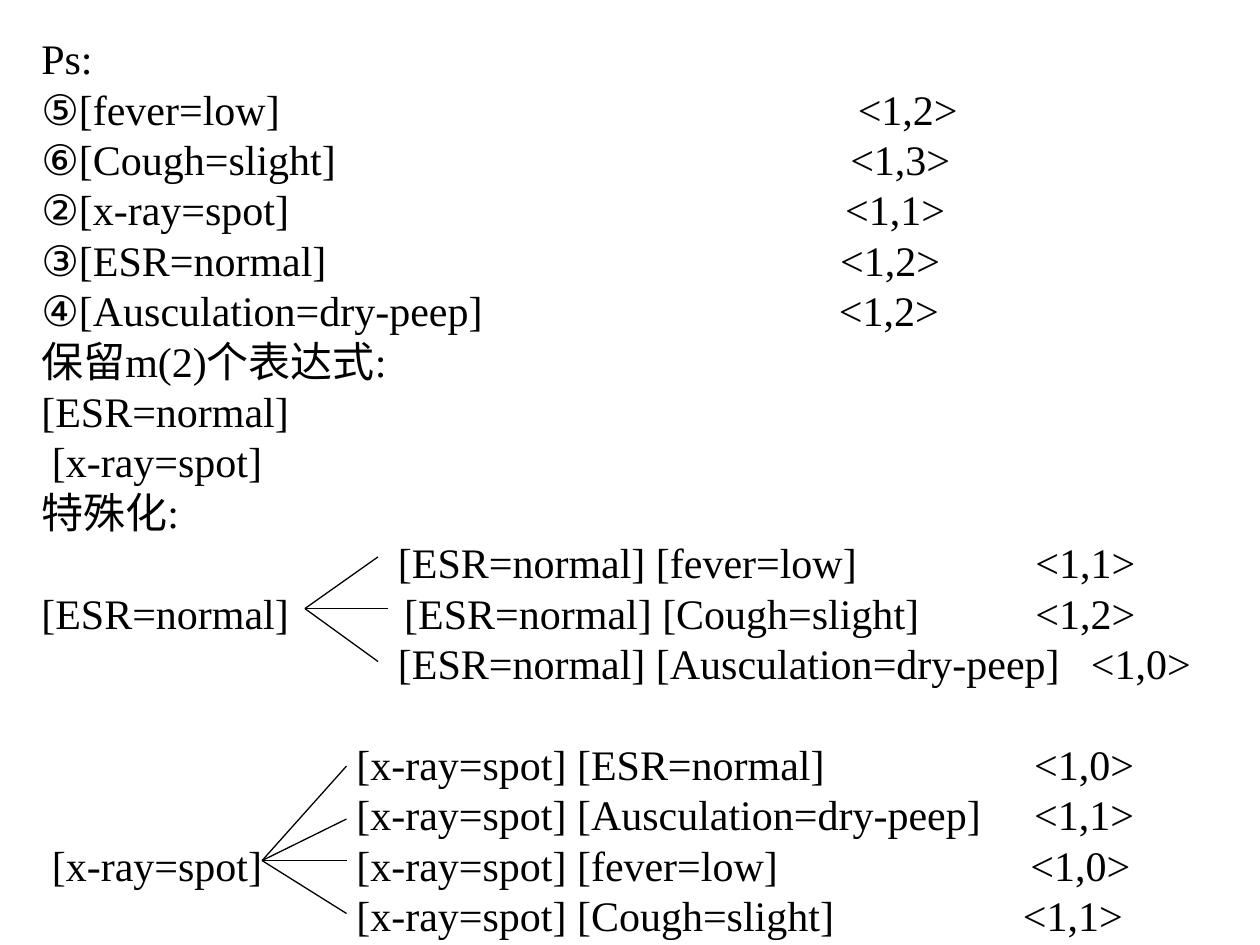
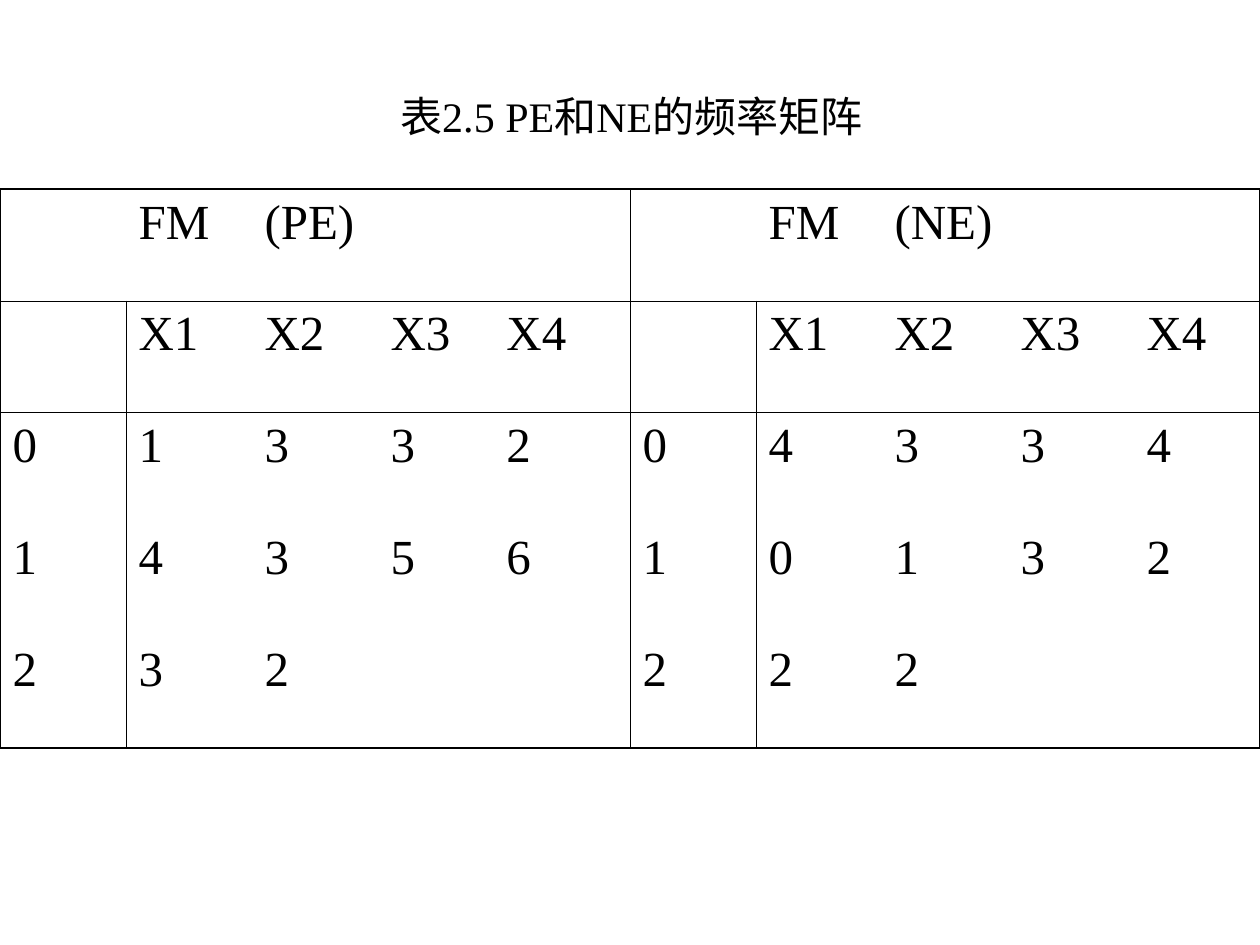
from lxml.etree import SubElement
from pptx import Presentation
from pptx.dml.color import RGBColor
from pptx.enum.shapes import MSO_CONNECTOR
from pptx.enum.text import MSO_ANCHOR, MSO_AUTO_SIZE, PP_ALIGN
from pptx.oxml.ns import qn
from pptx.util import Inches, Pt

BLACK = RGBColor(0, 0, 0)
SERIF = "Times New Roman"
SYMBOL_FONT = "Arial"
TITLE_ONLY, BLANK = 5, 6
BODY_SIZE, TABLE_SIZE = 24, 28
LINE_PITCH = Pt(28.8)
THICK, THIN = Pt(1.08), Pt(0.45)

# Each row: marker, text with tabs, tab stops in inches from the text edge
EXPRESSION_ROWS = [
    ("", "Ps:", ()),
    ("⑤", "[fever=low]\t<1,2>", (6.48,)),
    ("⑥", "[Cough=slight]\t<1,3>", (6.42,)),
    ("②", "[x-ray=spot]\t<1,1>", (6.38,)),
    ("③", "[ESR=normal]\t<1,2>", (6.34,)),
    ("④", "[Ausculation=dry-peep]\t<1,2>", (6.33,)),
    ("", "保留m(2)个表达式:", ()),
    ("", "[ESR=normal]", ()),
    ("", " [x-ray=spot]", ()),
    ("", "特殊化:", ()),
    ("", "\t[ESR=normal] [fever=low]\t<1,1>", (2.83, 7.89)),
    ("", "[ESR=normal]\t[ESR=normal] [Cough=slight]\t<1,2>", (2.88, 7.89)),
    ("", "\t[ESR=normal] [Ausculation=dry-peep]\t<1,0>", (2.83, 8.33)),
    ("", "\t[x-ray=spot] [ESR=normal]\t<1,0>", (2.5, 7.88)),
    ("", "\t[x-ray=spot] [Ausculation=dry-peep]\t<1,1>", (2.5, 7.88)),
    ("", " [x-ray=spot]\t[x-ray=spot] [fever=low]\t<1,0>", (2.5, 7.85)),
    ("", "\t[x-ray=spot] [Cough=slight]\t<1,1>", (2.5, 7.79)),
]
SECOND_TREE_ROW = 13

# Fan origin and branch ends, in inches from the corner of the text box
FANS = [
    ((2.19, 4.64), [(2.77, 4.23), (2.85, 4.64), (2.77, 5.06)]),
    ((1.85, 6.64), [(2.52, 5.89), (2.52, 6.31), (2.52, 6.64), (2.52, 7.06)]),
]

MATRIX_ROWS = [
    ["", "FM", "(PE)", "", "", "", "FM", "(NE)", "", ""],
    ["", "X1", "X2", "X3", "X4"] * 2,
    ["0", "1", "3", "3", "2", "0", "4", "3", "3", "4"],
    ["1", "4", "3", "5", "6", "1", "0", "1", "3", "2"],
    ["2", "3", "2", "", "", "2", "2", "2", "", ""],
]
MATRIX_COLUMNS = [1, 1, 1, 0.92, 1.08, 1, 1, 1, 1, 1]


def style_paragraph(para, size):
    para.font.name = SERIF
    para.font.size = Pt(size)
    para.font.color.rgb = BLACK


def set_tabs(para, stops):
    tab_list = SubElement(para._p.get_or_add_pPr(), qn("a:tabLst"))
    for stop in stops:
        SubElement(tab_list, qn("a:tab"), pos=str(Inches(stop)), algn="l")


def add_branch(page, start, end):
    line = page.shapes.add_connector(MSO_CONNECTOR.STRAIGHT, *start, *end)
    line.line.color.rgb = BLACK
    line.line.width = Pt(0.75)
    SubElement(line._element.spPr, qn("a:effectLst"))


def add_expressions(page, left, top, width, height):
    box = page.shapes.add_textbox(left, top, width, height)
    frame = box.text_frame
    frame.word_wrap = True
    frame.margin_top, frame.margin_bottom = Inches(0.07), Inches(0.03)
    for index, (marker, text, stops) in enumerate(EXPRESSION_ROWS):
        para = frame.add_paragraph() if index else frame.paragraphs[0]
        para.line_spacing = LINE_PITCH
        if index == SECOND_TREE_ROW:
            para.space_before = LINE_PITCH
        if stops:
            set_tabs(para, stops)
        style_paragraph(para, BODY_SIZE)
        if marker:
            span = para.add_run()
            span.text = marker
            span.font.name = SYMBOL_FONT
        para.add_run().text = text

    # Lines from each expression to its specialisations
    for origin, ends in FANS:
        start = left + Inches(origin[0]), top + Inches(origin[1])
        for x, y in ends:
            add_branch(page, start, (left + Inches(x), top + Inches(y)))


def add_caption(page, text, left, top, width, height):
    title = page.shapes.title
    title.left, title.top, title.width, title.height = left, top, width, height
    frame = title.text_frame
    frame.auto_size = MSO_AUTO_SIZE.NONE
    frame.vertical_anchor = MSO_ANCHOR.TOP
    para = frame.paragraphs[0]
    para.text = text
    para.alignment = PP_ALIGN.CENTER
    style_paragraph(para, BODY_SIZE)


def horizontal_rule(edge):
    """Width of the rule above row number `edge`."""
    if edge in (0, len(MATRIX_ROWS)):
        return THICK
    return THIN if edge <= 2 else None


def vertical_rule(edge, row):
    """Width of the rule left of column number `edge`."""
    if edge in (0, len(MATRIX_COLUMNS)):
        return THICK
    return THIN if edge == 5 or (edge in (1, 6) and row > 0) else None


def set_borders(cell, row, column):
    properties = cell._tc.get_or_add_tcPr()
    rules = {
        "a:lnL": vertical_rule(column, row),
        "a:lnR": vertical_rule(column + 1, row),
        "a:lnT": horizontal_rule(row),
        "a:lnB": horizontal_rule(row + 1),
    }
    for tag, width in rules.items():
        border = SubElement(properties, qn(tag), w=str(int(width or 0)))
        if width:
            fill = SubElement(border, qn("a:solidFill"))
            SubElement(fill, qn("a:srgbClr"), val=str(BLACK))
        else:
            SubElement(border, qn("a:noFill"))


def add_matrix(page, left, top, width, height):
    table = page.shapes.add_table(len(MATRIX_ROWS), len(MATRIX_COLUMNS),
                                  left, top, width, height).table
    table.first_row = table.horz_banding = False
    for column, size in zip(table.columns, MATRIX_COLUMNS):
        column.width = Inches(size)
    for row, values in enumerate(MATRIX_ROWS):
        for column, value in enumerate(values):
            cell = table.cell(row, column)
            set_borders(cell, row, column)
            cell.fill.background()
            if value:
                para = cell.text_frame.paragraphs[0]
                para.text = value
                para.space_before = Pt(7)
                style_paragraph(para, TABLE_SIZE)


def main():
    deck = Presentation()
    deck.slide_width, deck.slide_height = Inches(10), Inches(7.5)

    # Expressions and their specialisation trees
    page = deck.slides.add_slide(deck.slide_layouts[BLANK])
    add_expressions(page, Inches(0.23), Inches(0.19), Inches(9.6), Inches(7.3))

    # Frequency matrices
    page = deck.slides.add_slide(deck.slide_layouts[TITLE_ONLY])
    add_caption(page, "表2.5 PE和NE的频率矩阵",
                Inches(0.5), Inches(0.67), Inches(9.02), Inches(0.5))
    add_matrix(page, 0, Inches(1.5), Inches(10), Inches(4.44))

    deck.save("out.pptx")


if __name__ == "__main__":
    main()
